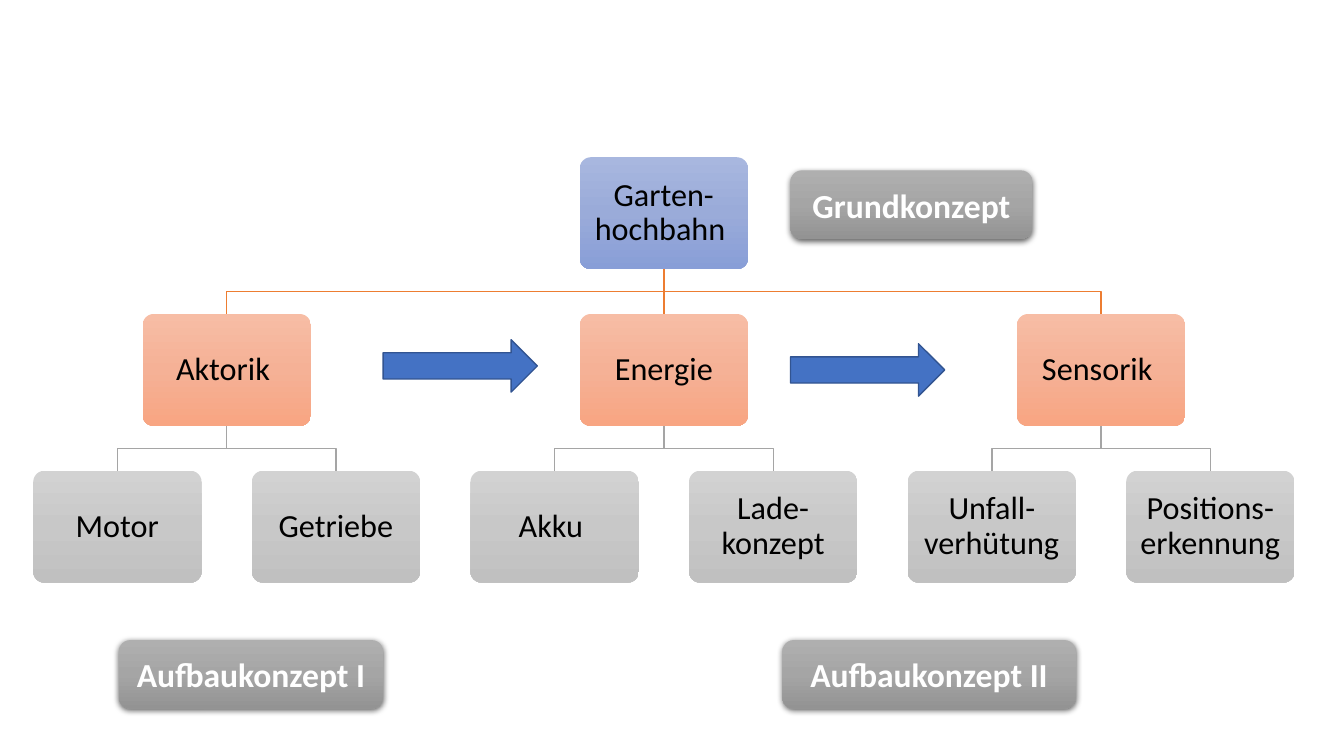
import copy

import pptx
import pptx.dml.color
import pptx.enum.shapes
import pptx.enum.text
import pptx.oxml
import pptx.oxml.ns
import pptx.util

Inches = pptx.util.Inches
Pt = pptx.util.Pt
SHAPES = pptx.enum.shapes.MSO_SHAPE

COLORS = {
    "project": ("A8B7DF", "9AABD9", "889ED7"),
    "area": ("F7BDA5", "F5B196", "F8A582"),
    "part": ("D2D2D2", "C8C8C8", "C0C0C0"),
    "concept": ("AFAFAF", "A5A5A5", "939393"),
    "area_branch": "ED7D31",
    "part_branch": "A5A5A5",
    "arrow": "4472C4",
    "arrow_edge": "325491",
    "node_text": "000000",
    "concept_text": "FFFFFF",
}
NODE_FONT = {"name": "Calibri", "size": Pt(23), "bold": False}
CONCEPT_FONT = {"name": "Calibri", "size": Pt(24), "bold": True}
NODE_FRAME = {
    "word_wrap": True,
    "vertical_anchor": pptx.enum.text.MSO_ANCHOR.MIDDLE,
    "margin_left": Inches(0.09),
    "margin_right": Inches(0.09),
    "margin_top": Inches(0.1),
    "margin_bottom": Inches(0.1),
}
CONCEPT_FRAME = {
    "word_wrap": True,
    "vertical_anchor": pptx.enum.text.MSO_ANCHOR.MIDDLE,
}
NODE_PARAGRAPH = {"alignment": pptx.enum.text.PP_ALIGN.CENTER, "line_spacing": 0.9}
CONCEPT_PARAGRAPH = {"alignment": pptx.enum.text.PP_ALIGN.CENTER}

NODE_WIDTH, NODE_HEIGHT = 1.67, 1.11
PROJECT = "Garten-\nhochbahn "
AREAS = {
    "Aktorik ": ("Motor", "Getriebe"),
    "Energie": ("Akku ", "Lade-konzept"),
    "Sensorik ": ("Unfall-verhütung", "Positions-erkennung"),
}
ARROWS = ((3.8, 3.37, 1.53, 0.52), (7.84, 3.41, 1.53, 0.52))
CONCEPTS = {
    "Grundkonzept": (7.84, 1.69, 2.4, 0.68),
    "Aufbaukonzept I": (1.18, 6.35, 2.62, 0.68),
    "Aufbaukonzept II": (7.76, 6.35, 2.91, 0.68),
}
SHADOW = (
    '<a:outerShdw xmlns:a="http://schemas.openxmlformats.org/drawingml/2006/main" '
    'blurRad="57150" dist="19050" dir="5400000" algn="ctr" rotWithShape="0">'
    '<a:srgbClr val="000000"><a:alpha val="63000"/></a:srgbClr></a:outerShdw>'
)


def rgb(name):
    return pptx.dml.color.RGBColor.from_string(COLORS[name])


def apply(target, values):
    for attribute, value in values.items():
        setattr(target, attribute, value)


def fill_gradient(shape, name):
    shape.fill.gradient()
    shape.fill.gradient_angle = 270
    first = next(shape.element.spPr.iter(pptx.oxml.ns.qn("a:gs")))
    first.addnext(copy.deepcopy(first))
    for stop, position, shade in zip(shape.fill.gradient_stops, (0, 0.5, 1), COLORS[name]):
        stop.position = position
        stop.color.rgb = pptx.dml.color.RGBColor.from_string(shade)


def write(shape, wording, frame, paragraph_format, font, color):
    apply(shape.text_frame, frame)
    paragraph = shape.text_frame.paragraphs[0]
    paragraph.text = wording
    apply(paragraph, paragraph_format)
    for run in paragraph.runs:
        apply(run.font, font)
        run.font.color.rgb = rgb(color)


def add_rounded(slide, box, gradient):
    panel = slide.shapes.add_shape(SHAPES.ROUNDED_RECTANGLE, *map(Inches, box))
    panel.shadow.inherit = False
    panel.line.fill.background()
    fill_gradient(panel, gradient)
    return panel


def add_node(slide, center, top, wording, level):
    box = (center - NODE_WIDTH / 2, top, NODE_WIDTH, NODE_HEIGHT)
    node = add_rounded(slide, box, level)
    node.adjustments[0] = 0.1
    write(node, wording, NODE_FRAME, NODE_PARAGRAPH, NODE_FONT, "node_text")


def add_branch(slide, start, end, color):
    (x1, y1), (x2, y2) = start, end
    if x1 == x2:
        branch = slide.shapes.add_connector(
            pptx.enum.shapes.MSO_CONNECTOR.STRAIGHT, *map(Inches, (x1, y1, x2, y2))
        )
        branch.element.spPr.append(pptx.oxml.parse_xml(
            '<a:effectLst xmlns:a="http://schemas.openxmlformats.org/drawingml/2006/main"/>'
        ))
    else:
        middle = (y1 + y2) / 2
        outline = slide.shapes.build_freeform(Inches(x1), Inches(y1))
        bends = ((x1, middle), (x2, middle), (x2, y2))
        outline.add_line_segments([(Inches(x), Inches(y)) for x, y in bends], close=False)
        branch = outline.convert_to_shape()
        branch.fill.background()
        branch.shadow.inherit = False
    branch.line.color.rgb = rgb(color)
    branch.line.width = Pt(1)


def add_hierarchy(slide, box):
    left, top, width, height = box
    pitch = (width - NODE_WIDTH) / 5
    row = (height - NODE_HEIGHT) / 2
    area_top, part_top = top + row, top + 2 * row
    middle = left + width / 2
    for index, (area, parts) in enumerate(AREAS.items()):
        area_center = middle + (index - 1) * 2 * pitch
        add_branch(slide, (middle, top + NODE_HEIGHT), (area_center, area_top), "area_branch")
        for side, part in zip((-0.5, 0.5), parts):
            part_center = area_center + side * pitch
            add_branch(slide, (area_center, area_top + NODE_HEIGHT),
                       (part_center, part_top), "part_branch")
            add_node(slide, part_center, part_top, part, "part")
        add_node(slide, area_center, area_top, area, "area")
    add_node(slide, middle, top, PROJECT, "project")


def add_arrow(slide, box):
    arrow = slide.shapes.add_shape(SHAPES.RIGHT_ARROW, *map(Inches, box))
    arrow.shadow.inherit = False
    arrow.fill.solid()
    arrow.fill.fore_color.rgb = rgb("arrow")
    arrow.line.color.rgb = rgb("arrow_edge")
    arrow.line.width = Pt(1)


def add_concept(slide, box, wording):
    concept = add_rounded(slide, box, "concept")
    effects = concept.element.spPr.find(pptx.oxml.ns.qn("a:effectLst"))
    effects.append(pptx.oxml.parse_xml(SHADOW))
    write(concept, wording, CONCEPT_FRAME, CONCEPT_PARAGRAPH, CONCEPT_FONT, "concept_text")


def main():
    deck = pptx.Presentation()
    deck.slide_width, deck.slide_height = Inches(13.33), Inches(7.5)
    slide = deck.slides.add_slide(deck.slide_layouts[6])
    add_hierarchy(slide, (0.33, 1.56, 12.51, 4.22))
    for box in ARROWS:
        add_arrow(slide, box)
    for wording, box in CONCEPTS.items():
        add_concept(slide, box, wording)
    deck.save("out.pptx")


if __name__ == "__main__":
    main()
